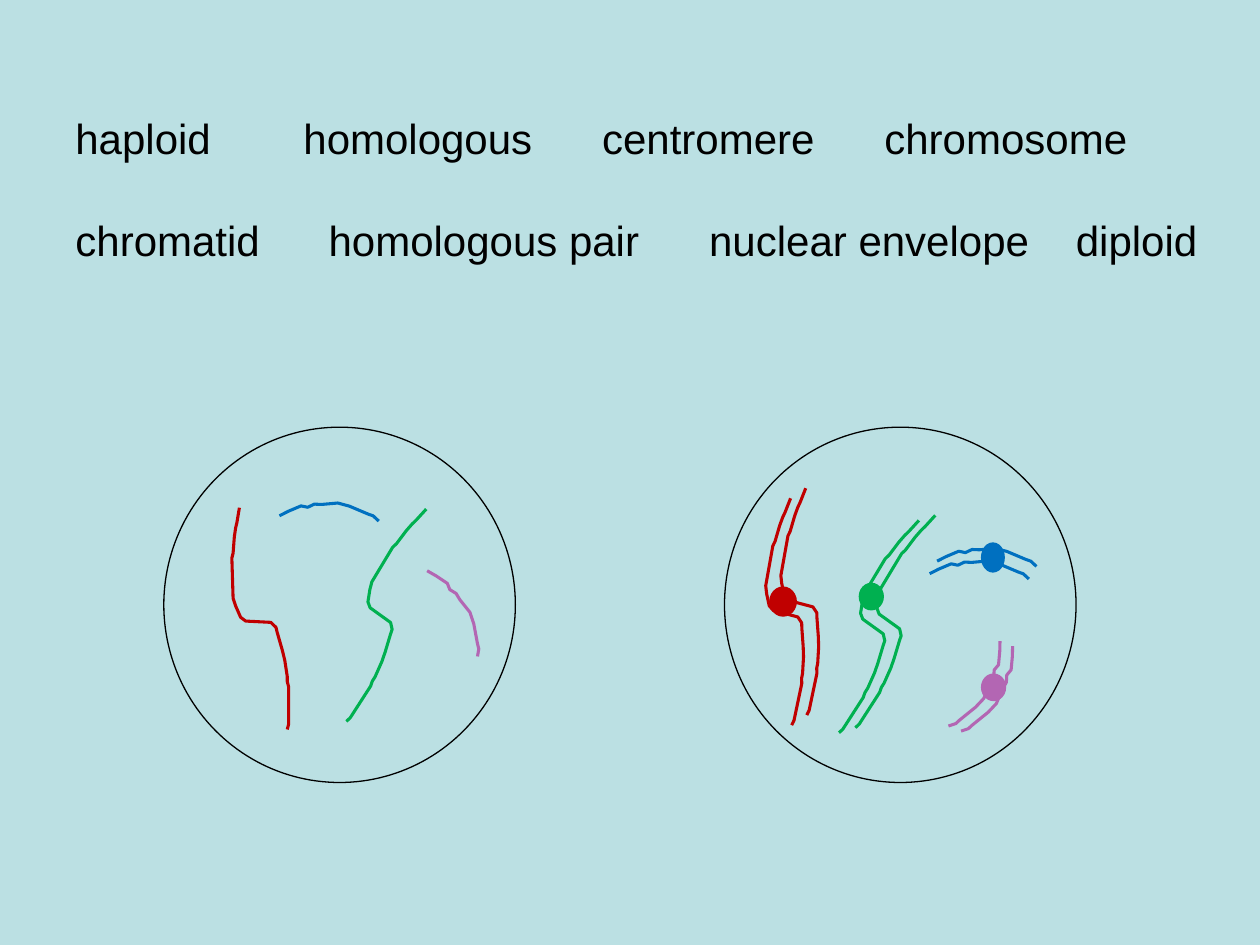
from dataclasses import dataclass

from lxml import etree
from pptx import Presentation
from pptx.dml.color import RGBColor
from pptx.enum.shapes import MSO_SHAPE
from pptx.oxml.ns import qn
from pptx.shapes.base import BaseShape
from pptx.shapes.group import GroupShape
from pptx.util import Inches, Pt

OVAL = MSO_SHAPE.OVAL

BACKGROUND, BLACK = "BBE0E3", "000000"
RED, GREEN, BLUE, PURPLE = "C00000", "00B050", "0070C0", "B366B3"

# Upright strand outlines, in hundredths of an inch
LONG = [(6, 1), (4, 13), (3, 17), (2, 24), (1, 37), (0, 41), (1, 73), (3, 79),
        (7, 88), (11, 91), (31, 92), (35, 96), (36, 100), (40, 114), (42, 122),
        (44, 135), (44, 139), (45, 143), (45, 173), (44, 177)]
SHORT = [(0, 0), (7, 4), (16, 10), (18, 15), (23, 18), (26, 23), (34, 33),
         (37, 42), (40, 58), (41, 62), (40, 68)]


@dataclass
class Oval:
    left: float
    top: float
    width: float
    height: float


@dataclass
class Chromosome:
    color: str
    outline: list[tuple[int, int]]
    rotation: float
    strands: list[tuple[float, float]]
    centromere: Oval | None = None


@dataclass
class Cell:
    left: float
    chromosomes: list[Chromosome]


@dataclass
class WordRow:
    words: list[str]
    tab_stops: list[float]


CELLS = [
    Cell(5.75, [
        Chromosome(GREEN, LONG, 32.8, [(6.86, 4.03), (6.73, 4.07)],
                   Oval(6.82, 4.63, 0.19, 0.21)),
        Chromosome(PURPLE, SHORT, 61.7, [(7.53, 5.09), (7.63, 5.13)],
                   Oval(7.79, 5.35, 0.19, 0.21)),
        Chromosome(RED, LONG, 11.9, [(6.03, 3.96), (6.15, 3.88)],
                   Oval(6.11, 4.66, 0.21, 0.23)),
        Chromosome(BLUE, SHORT, 303.5, [(7.63, 4.13), (7.57, 4.23)],
                   Oval(7.79, 4.31, 0.18, 0.23)),
    ]),
    Cell(1.3, [
        Chromosome(RED, LONG, 0, [(1.84, 4.02)]),
        Chromosome(GREEN, LONG, 32.8, [(2.82, 3.98)]),
        Chromosome(BLUE, SHORT, 303.5, [(2.41, 3.77)]),
        Chromosome(PURPLE, SHORT, 0, [(3.39, 4.53)]),
    ]),
]

WORD_ROWS = [
    WordRow(["haploid", "homologous", "centromere", "chromosome"],
            [1.81, 4.18, 6.42]),
    WordRow(["chromatid", "homologous pair", "nuclear envelope", "diploid"],
            [2.01, 5.03, 7.94]),
]


def rgb(color: str) -> RGBColor:
    return RGBColor.from_string(color)


def style_outline(shape: BaseShape, color: str, width: float) -> None:
    shape.shadow.inherit = False
    shape.fill.background()
    shape.line.color.rgb = rgb(color)
    shape.line.width = Pt(width)


def draw_oval(group: GroupShape, oval: Oval, color: str) -> BaseShape:
    shape = group.shapes.add_shape(OVAL, Inches(oval.left), Inches(oval.top),
                                   Inches(oval.width), Inches(oval.height))
    style_outline(shape, color, 0.75)
    return shape


def draw_chromosome(group: GroupShape, chromosome: Chromosome) -> None:
    start, *rest = chromosome.outline
    for left, top in chromosome.strands:
        builder = group.shapes.build_freeform(*start, scale=Inches(0.01))
        builder.add_line_segments(rest, close=False)
        strand = builder.convert_to_shape(Inches(left), Inches(top))
        strand.rotation = chromosome.rotation
        style_outline(strand, chromosome.color, 1.75)
    if chromosome.centromere:
        centromere = draw_oval(group, chromosome.centromere, chromosome.color)
        centromere.fill.solid()
        centromere.fill.fore_color.rgb = rgb(chromosome.color)


def draw_cell(slide, cell: Cell) -> None:
    group = slide.shapes.add_group_shape()
    draw_oval(group, Oval(cell.left, 3.39, 2.79, 2.82), BLACK)
    for chromosome in cell.chromosomes:
        draw_chromosome(group, chromosome)


def draw_words(slide, rows: list[WordRow]) -> None:
    text_box = slide.shapes.add_textbox(Inches(0.5), Inches(0.84),
                                        Inches(9.11), Inches(1.3))
    frame = text_box.text_frame
    frame.word_wrap = True
    frame.margin_right = 0
    for index, row in enumerate(rows):
        paragraph = frame.add_paragraph() if index else frame.paragraphs[0]
        paragraph.text = "\t".join(row.words)
        if index:
            paragraph.space_before = Pt(30)
        tab_list = etree.SubElement(paragraph._p.get_or_add_pPr(), qn("a:tabLst"))
        for position in row.tab_stops:
            etree.SubElement(tab_list, qn("a:tab"),
                             pos=str(Inches(position)), algn="l")
        paragraph.font.name = "Arial"
        paragraph.font.size = Pt(24)
        paragraph.font.color.rgb = rgb(BLACK)


def main() -> None:
    presentation = Presentation()
    presentation.slide_width = Inches(10)
    presentation.slide_height = Inches(7.5)
    slide = presentation.slides.add_slide(presentation.slide_layouts[6])
    slide.background.fill.solid()
    slide.background.fill.fore_color.rgb = rgb(BACKGROUND)

    # Diploid-style cell with paired strands, then cell with single strands
    for cell in CELLS:
        draw_cell(slide, cell)

    # Vocabulary to match with the cells
    draw_words(slide, WORD_ROWS)
    presentation.save("out.pptx")


if __name__ == "__main__":
    main()
